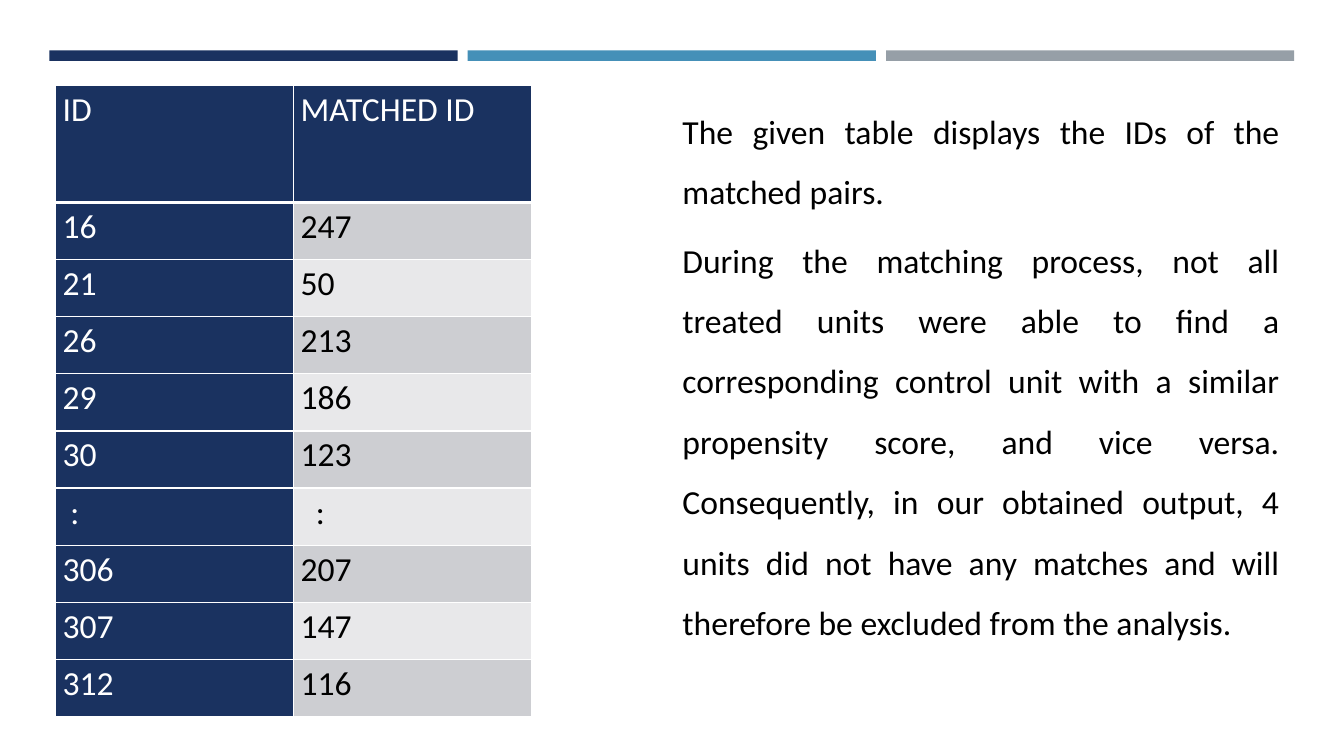
from lxml.etree import SubElement
from pptx import Presentation
from pptx.dml.color import RGBColor
from pptx.enum.shapes import MSO_SHAPE as Preset
from pptx.enum.text import PP_ALIGN as Align
from pptx.oxml.ns import qn
from pptx.util import Pt

NAVY = RGBColor(0x1A, 0x32, 0x60)
BLUE = RGBColor(0x45, 0x90, 0xB8)
GREY = RGBColor(0x96, 0x9F, 0xA7)
DARK_BAND = RGBColor(0xCD, 0xCE, 0xD2)
LIGHT_BAND = RGBColor(0xE8, 0xE8, 0xEA)
WHITE = RGBColor(0xFF, 0xFF, 0xFF)
BLACK = RGBColor(0x00, 0x00, 0x00)

HEADINGS = ("ID", "MATCHED ID")
MATCHED_PAIRS = [("16", "247"), ("21", "50"), ("26", "213"), ("29", "186"), ("30", "123"),
                 (":", ":"), ("306", "207"), ("307", "147"), ("312", "116")]
ELLIPSIS_INDENTS = (5.4, 10.8)
EXPLANATION = [
    "The given table displays the IDs of the matched pairs.",
    "During the matching process, not all treated units were able to find a corresponding "
    "control unit with a similar propensity score, and vice versa. Consequently, in our "
    "obtained output, 4 units did not have any matches and will therefore be excluded "
    "from the analysis.",
]


class MatchingSlide:
    """Draws the elements of the matched pairs slide in one style."""

    font_name = "Calibri"
    font_size = 24

    def __init__(self, slide):
        self.slide = slide

    def bar(self, left, top, width, height, color):
        stripe = self.slide.shapes.add_shape(
            Preset.RECTANGLE, Pt(left), Pt(top), Pt(width), Pt(height))
        stripe.shadow.inherit = False
        stripe.fill.solid()
        stripe.fill.fore_color.rgb = color
        stripe.line.fill.background()

    def add_wording(self, paragraph, wording, color, spacing, indent=0):
        if indent:
            paragraph._p.get_or_add_pPr().set("marL", str(Pt(indent)))
        paragraph.alignment = Align.JUSTIFY
        paragraph.line_spacing = spacing
        paragraph.space_after = Pt(5.5)
        run = paragraph.add_run()
        run.text = wording
        run.font.name = self.font_name
        run.font.size = Pt(self.font_size)
        run.font.bold = False
        run.font.color.rgb = color

    def border(self, cell, side, width):
        properties = cell._tc.get_or_add_tcPr()
        edge = SubElement(properties, qn(f"a:ln{side}"), w=str(Pt(width)))
        paint = SubElement(edge, qn("a:solidFill"))
        SubElement(paint, qn("a:srgbClr"), val=str(WHITE))

    def cell(self, cell, wording, fill, color, top_line, bottom_line, indent):
        cell.margin_left = cell.margin_right = Pt(5)
        cell.margin_top = cell.margin_bottom = 0
        for side, width in zip("LRTB", (1, 1, top_line, bottom_line)):
            self.border(cell, side, width)
        cell.fill.solid()
        cell.fill.fore_color.rgb = fill
        self.add_wording(cell.text_frame.paragraphs[0], wording, color, 1.1, indent)

    def pairs_table(self, left, top, column_width, header_height, row_height):
        records = [HEADINGS, *MATCHED_PAIRS]
        height = header_height + row_height * len(MATCHED_PAIRS)
        table = self.slide.shapes.add_table(
            len(records), len(HEADINGS), Pt(left), Pt(top),
            Pt(column_width * len(HEADINGS)), Pt(height)).table
        for column in table.columns:
            column.width = Pt(column_width)
        for index, record in enumerate(records):
            table.rows[index].height = Pt(row_height if index else header_height)
            band = DARK_BAND if index % 2 else LIGHT_BAND
            for position, wording in enumerate(record):
                navy = index == 0 or position == 0
                self.cell(table.cell(index, position), wording,
                          NAVY if navy else band, WHITE if navy else BLACK,
                          3 if index == 1 else 1, 3 if index == 0 else 1,
                          ELLIPSIS_INDENTS[position] if wording == ":" else 0)

    def text(self, left, top, width, height, paragraphs):
        frame = self.slide.shapes.add_textbox(
            Pt(left), Pt(top), Pt(width), Pt(height)).text_frame
        frame.word_wrap = True
        for index, wording in enumerate(paragraphs):
            paragraph = frame.add_paragraph() if index else frame.paragraphs[0]
            self.add_wording(paragraph, wording, BLACK, 1.5)


def main():
    deck = Presentation()
    deck.slide_width, deck.slide_height = Pt(960), Pt(540)
    matching = MatchingSlide(deck.slides.add_slide(deck.slide_layouts[6]))
    for index, color in enumerate((NAVY, BLUE, GREY)):
        matching.bar(35.3 + 298.8 * index, 36, 291.6, 7.5, color)
    matching.pairs_table(39.8, 61.2, 170, 83.5, 40.8)
    matching.text(480.4, 61.2, 440.6, 448.6, EXPLANATION)
    deck.save("out.pptx")


if __name__ == "__main__":
    main()
